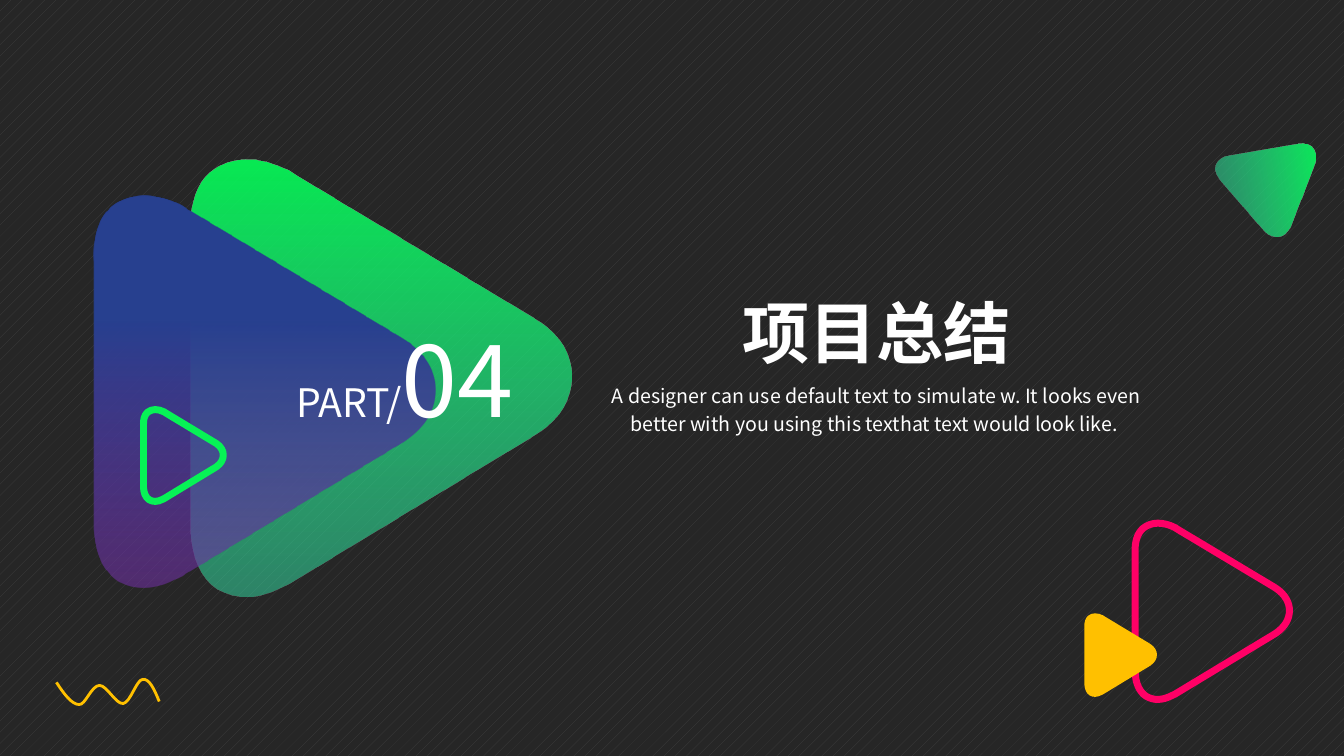
import pptx
import pptx.util
import pptx.dml.color
import pptx.enum.dml
import pptx.enum.text
import pptx.oxml.ns
import lxml.etree

RGB = pptx.dml.color.RGBColor
ALIGN = pptx.enum.text.PP_ALIGN
WHITE = RGB(0xFF, 0xFF, 0xFF)
DARK = RGB(0x26, 0x26, 0x26)
STRIPE = RGB(0x40, 0x40, 0x40)
PINK = RGB(0xFF, 0x00, 0x66)
AMBER = RGB(0xFF, 0xC0, 0x00)
LIME = RGB(0x07, 0xF3, 0x56)
# Gradient stops: position, colour, opacity
GREEN_FADE = [(0, RGB(0x07, 0xF7, 0x57), 0.94), (1, RGB(0x36, 0xDE, 0xA6), 0.51)]
BLUE_FADE = [(0.31, RGB(0x27, 0x40, 0x8F), 1), (1, RGB(0x70, 0x30, 0xA0), 0.58)]
FONT = "Noto Sans CJK SC"

# Outlines in percent of their box: one point is a line, three are a Bezier curve.
# The triangle points up.
TRIANGLE = [
    [(49.5, 0)],
    [(54.6, 0), (59, 3.2), (62.2, 8.5)],
    [(62.7, 9.3)],
    [(97, 74.3)],
    [(97.9, 76.5)],
    [(100.5, 82.3), (100.7, 88.1), (98.2, 92.9)],
    [(95.6, 97.4), (90.8, 99.7), (85, 100)],
    [(17.1, 100)],
    [(11.3, 100.5), (6, 98.9), (3, 95)],
    [(-0.9, 89.7), (-0.9, 82), (2.5, 74.3)],
    [(3.7, 72.2)],
    [(36.2, 10.1)],
    [(37.1, 8.5)],
    [(40.3, 3.2), (44.7, 0), (49.5, 0)],
]
WAVE = [
    [(0, 12)],
    [(7, 56), (15, 100), (22, 100)],
    [(28, 104), (34, 24), (42, 24)],
    [(49, 24), (58, 100), (65, 96)],
    [(72, 92), (78, 0), (84, 0)],
    [(90, -4), (95, 36), (100, 88)],
]


def within(box, x, y, w, h):
    """Return the part of a box given in percent of it."""
    left, top, width, height = box
    return (round(left + width * x / 100), round(top + height * y / 100),
            round(width * w / 100), round(height * h / 100))


def add_child(parent, tag, **attributes):
    child = lxml.etree.SubElement(parent, pptx.oxml.ns.qn(tag))
    for name, value in attributes.items():
        child.set(name, str(value))
    return child


def add_outline(slide, box, outline, closed=True, fill=None, fade=None, line=None, weight=5):
    left, top, width, height = box
    builder = slide.shapes.build_freeform(left, top, scale=1.0)
    builder.add_line_segments([(left + width, top + height)], close=False)
    sp = builder.convert_to_shape()
    sp.shadow.inherit = False

    # Draw the outline with true curves inside the frame
    track = sp._element.xpath(".//a:pathLst/a:path")[0]
    for step in list(track):
        track.remove(step)
    for i, points in enumerate(outline):
        tag = "a:moveTo" if i == 0 else "a:cubicBezTo" if len(points) == 3 else "a:lnTo"
        step = add_child(track, tag)
        for x, y in points:
            add_child(step, "a:pt", x=round(width * x / 100), y=round(height * y / 100))
    if closed:
        add_child(track, "a:close")

    if fade:
        set_fade(sp, fade)
    elif fill is not None:
        sp.fill.solid()
        sp.fill.fore_color.rgb = fill
    else:
        sp.fill.background()
    if line is not None:
        sp.line.color.rgb = line
        sp.line.width = pptx.util.Pt(weight)
    else:
        sp.line.fill.background()
    return sp


def add_triangle(slide, box, turn=90, **style):
    """Place a turned triangle; the box is the one it covers when it points right."""
    left, top, width, height = box
    shift = (width - height) // 2
    frame = (left + shift, top - shift, height, width)
    add_outline(slide, frame, TRIANGLE, **style).rotation = turn


def set_fade(sp, fade):
    sp.fill.gradient()
    sp.fill.gradient_angle = 0
    for stop, (position, color, _) in zip(sp.fill.gradient_stops, fade):
        stop.position = position
        stop.color.rgb = color
    for clr, (_, _, opacity) in zip(sp._element.xpath(".//a:gs/a:srgbClr"), fade):
        add_child(clr, "a:alpha", val=round(opacity * 100000))


def write(sp, box, runs, align, bold=False, spacing=None):
    """Fill a text shape with runs of (text, size)."""
    sp.left, sp.top, sp.width, sp.height = box
    tf = sp.text_frame
    tf.word_wrap = True
    tf.auto_size = pptx.enum.text.MSO_AUTO_SIZE.SHAPE_TO_FIT_TEXT
    tf.vertical_anchor = pptx.enum.text.MSO_ANCHOR.TOP
    p = tf.paragraphs[0]
    p.alignment = align
    if spacing:
        p.line_spacing = spacing
    for text, size in runs:
        r = p.add_run()
        r.text = text
        r.font.size = pptx.util.Pt(size)
        r.font.name = FONT
        r.font.bold = bold
        r.font.color.rgb = WHITE
        add_child(r._r.get_or_add_rPr(), "a:ea", typeface=FONT)


def add_corner(slide, box):
    add_triangle(slide, within(box, 24.8, 0, 75.2, 100), line=PINK)
    add_triangle(slide, within(box, 0, 51.1, 35.4, 47.4), fill=AMBER)


def add_part_badge(slide, box):
    add_triangle(slide, within(box, 20.25, 0, 79.75, 100), fade=GREEN_FADE)
    add_triangle(slide, within(box, 0, 8.3, 71.5, 89.6), fade=BLUE_FADE)
    label = slide.shapes.add_textbox(0, 0, 0, 0)
    write(label, within(box, 20.5, 34.8, 69.4, 30.2), [("PART/", 28), ("04", 72)], ALIGN.RIGHT)
    add_triangle(slide, within(box, 10.4, 57.2, 16.7, 21), line=LIME)


def add_heading(slide, box):
    write(slide.shapes.title, within(box, 8.5, 0, 83.2, 59.1), [("项目总结", 48)],
          ALIGN.CENTER, bold=True)
    summary = slide.shapes.add_textbox(0, 0, 0, 0)
    text = ("A designer can use default text to simulate w. It looks even better "
            "with you using this texthat text would look like. ")
    write(summary, within(box, 0.1, 56.5, 100, 43.5), [(text, 14)], ALIGN.CENTER, spacing=1.2)


def add_section_slide(prs):
    slide = prs.slides.add_slide(prs.slide_layouts[5])
    page = (0, 0, prs.slide_width, prs.slide_height)

    # Patterned background
    fill = slide.background.fill
    fill.patterned()
    fill.pattern = pptx.enum.dml.MSO_PATTERN.PERCENT_10
    fill.fore_color.rgb = STRIPE
    fill.back_color.rgb = DARK

    # Regions, in percent of the page
    add_corner(slide, within(page, 80.68, 69.2, 15.26, 23.33))
    add_part_badge(slide, within(page, 6.98, 21.07, 35.55, 57.87))
    add_triangle(slide, within(page, 91.26, 18.87, 6.53, 13.33), turn=170.3, fade=GREEN_FADE)
    add_outline(slide, within(page, 4.2, 89.87, 7.65, 3.33), WAVE, closed=False,
                line=AMBER, weight=2)
    add_heading(slide, within(page, 43.12, 37.87, 44.1, 20.53))


def main():
    prs = pptx.Presentation()
    prs.slide_width = pptx.util.Inches(13.33)
    prs.slide_height = pptx.util.Inches(7.5)
    add_section_slide(prs)
    prs.save("out.pptx")


if __name__ == "__main__":
    main()
